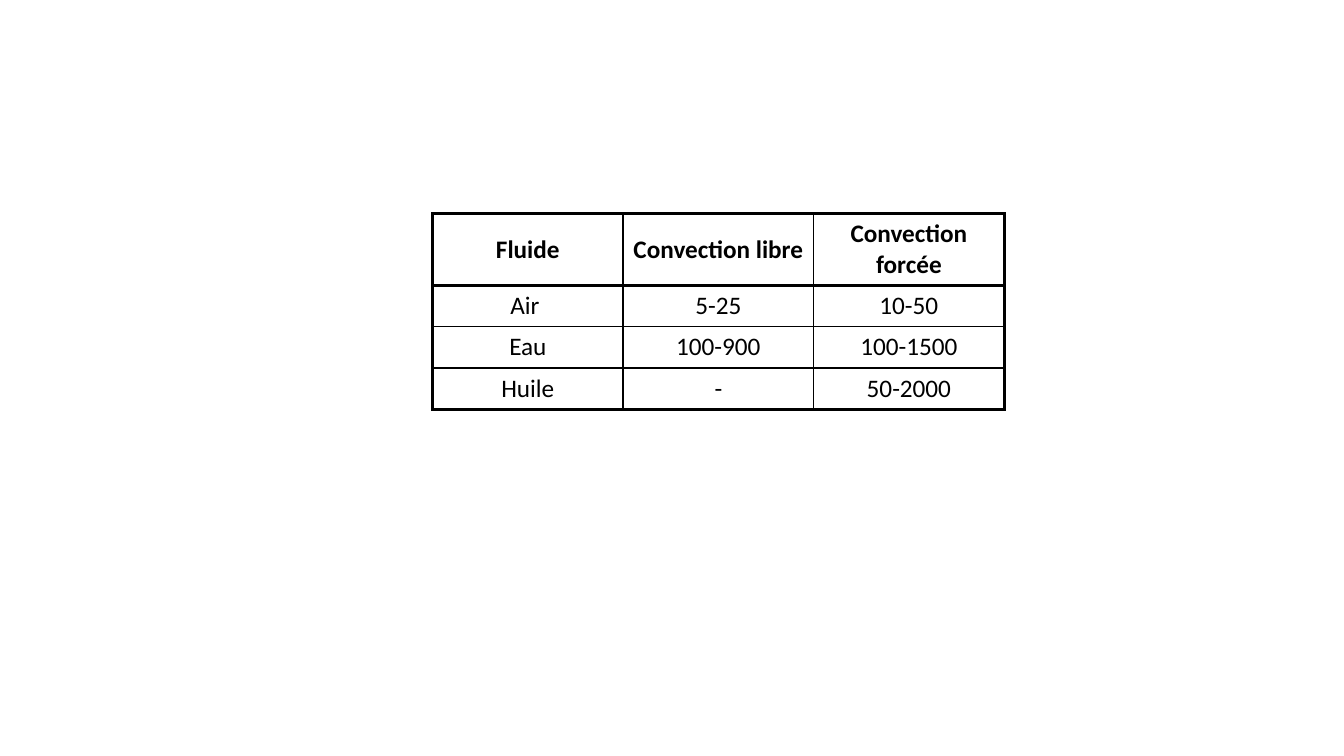
from lxml.etree import SubElement
from pptx import Presentation
from pptx.dml.color import RGBColor
from pptx.enum.text import MSO_ANCHOR, PP_ALIGN
from pptx.oxml.ns import qn
from pptx.util import Inches, Pt

COLORS = {"ink": "000000", "paper": "FFFFFF"}
OUTER, INNER = Pt(2.25), Pt(1)
CONVECTION = [
    ["Fluide", "Convection libre", "Convection forcée"],
    ["Air ", "5-25", "10-50"],
    ["Eau", "100-900", "100-1500"],
    ["Huile", "-", "50-2000"],
]


def add_border(cell, position, side, width):
    properties = cell._tc.get_or_add_tcPr()
    line = SubElement(properties, qn(f"a:ln{side}"), w=str(width), cmpd="sng")
    properties.insert(position, line)
    ink = SubElement(line, qn("a:solidFill"))
    SubElement(ink, qn("a:srgbClr"), val=COLORS["ink"])
    SubElement(line, qn("a:prstDash"), val="solid")


prs = Presentation()
prs.slide_width = Inches(13.33)
prs.slide_height = Inches(7.5)
slide = prs.slides.add_slide(prs.slide_layouts[6])

last_row, last_column = len(CONVECTION) - 1, len(CONVECTION[0]) - 1
coefficients = slide.shapes.add_table(
    last_row + 1, last_column + 1, Inches(4.29), Inches(2.12), Inches(5.67), Inches(1.92)
).table
coefficients.horz_banding = False
for column in coefficients.columns:
    column.width = Inches(1.89)
for r, row in enumerate(coefficients.rows):
    row.height = Inches(0.69 if r == 0 else 0.41)

for r, values in enumerate(CONVECTION):
    for c, value in enumerate(values):
        cell = coefficients.cell(r, c)
        cell.vertical_anchor = MSO_ANCHOR.MIDDLE
        cell.fill.solid()
        cell.fill.fore_color.rgb = RGBColor.from_string(COLORS["paper"])
        heavy_sides = {
            "L": c == 0,
            "R": c == last_column,
            "T": r in (0, 1),
            "B": r in (0, last_row),
        }
        for position, (side, heavy) in enumerate(heavy_sides.items()):
            add_border(cell, position, side, OUTER if heavy else INNER)
        paragraph = cell.text_frame.paragraphs[0]
        paragraph.alignment = PP_ALIGN.CENTER
        run = paragraph.add_run()
        run.text = value
        run.font.name = "Calibri"
        run.font.size = Pt(18)
        run.font.bold = r == 0
        run.font.color.rgb = RGBColor.from_string(COLORS["ink"])

prs.save("out.pptx")
